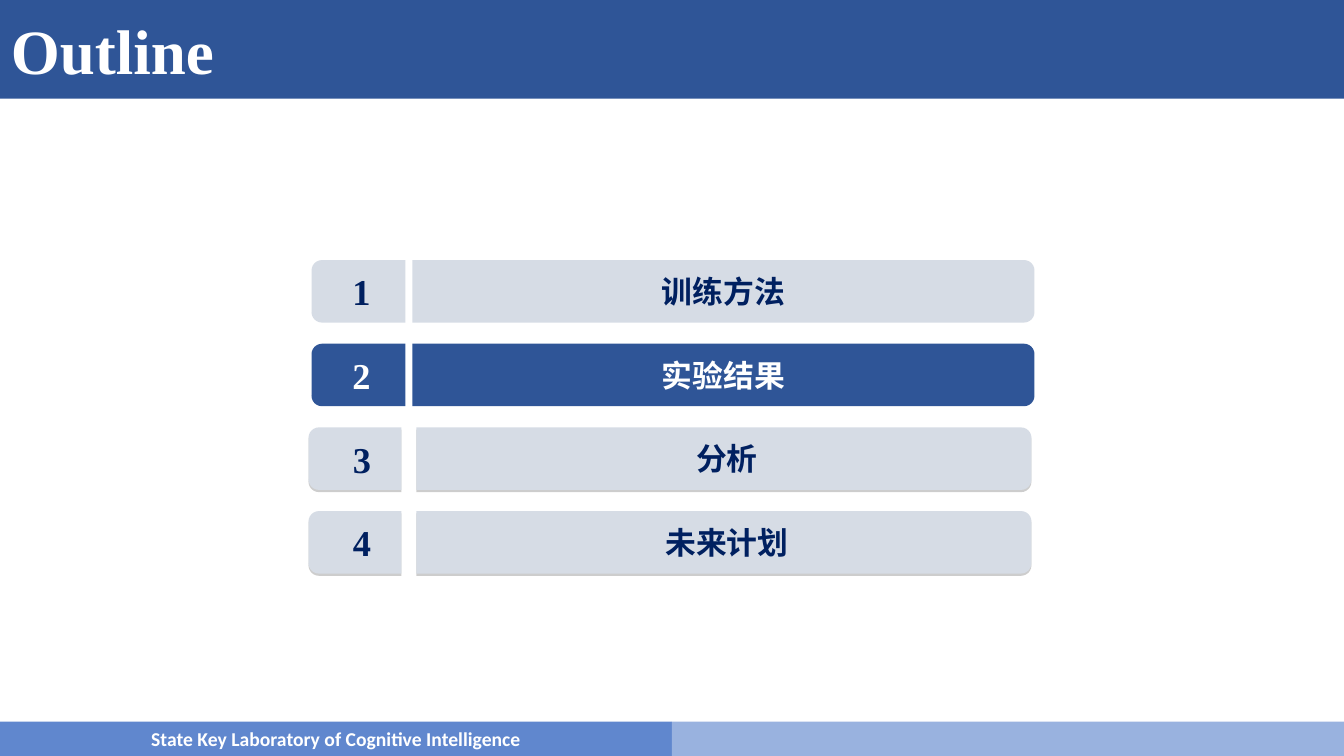
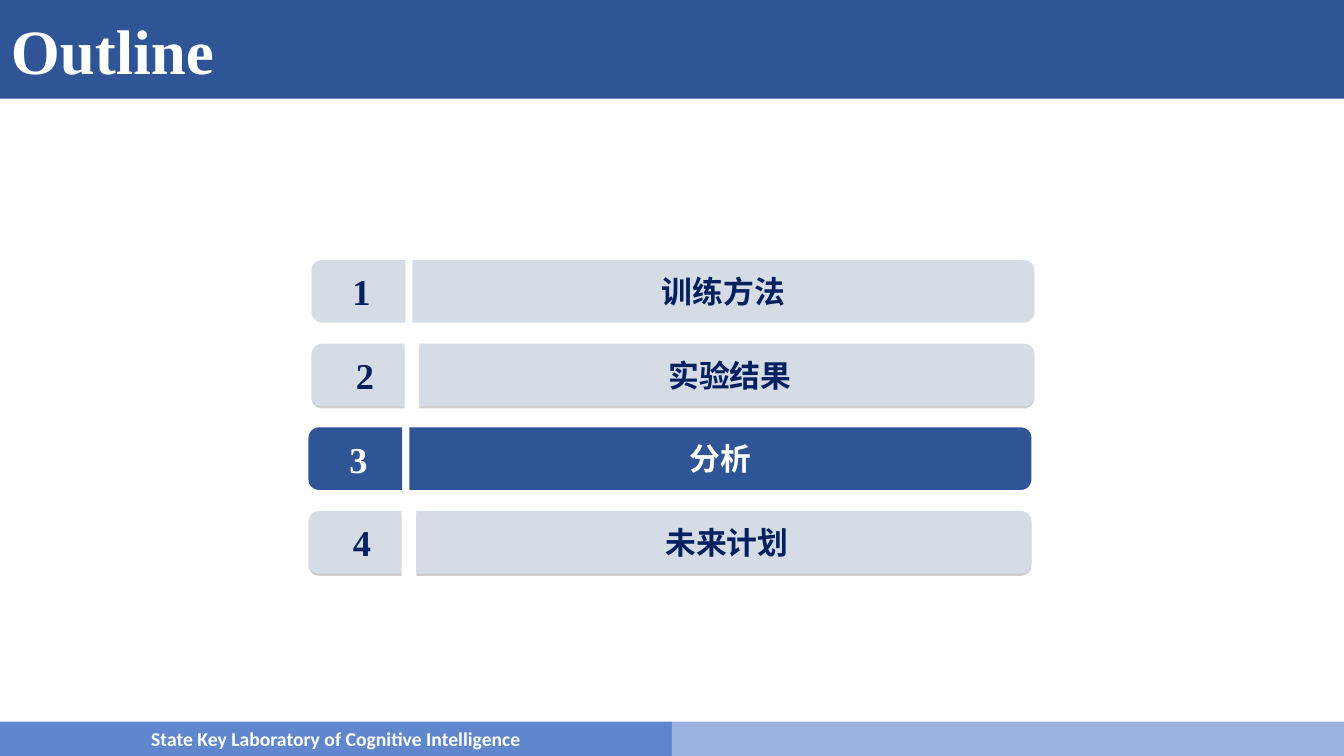
from dataclasses import dataclass

from lxml.etree import SubElement
from pptx import Presentation
from pptx.dml.color import RGBColor
from pptx.enum.shapes import MSO_SHAPE
from pptx.enum.text import MSO_ANCHOR, PP_ALIGN
from pptx.oxml.ns import qn
from pptx.shapes.autoshape import Shape
from pptx.slide import Slide
from pptx.util import Inches, Pt

NAVY = RGBColor(0x00, 0x20, 0x60)
BLUE = RGBColor(0x2F, 0x55, 0x97)
MID_BLUE = RGBColor(0x60, 0x87, 0xCE)
PALE_BLUE = RGBColor(0x99, 0xB2, 0xDF)
GREY = RGBColor(0xD6, 0xDC, 0xE5)
WHITE = RGBColor(0xFF, 0xFF, 0xFF)

SERIF = "Times New Roman"
SANS = "Calibri"

SLIDE_WIDTH, SLIDE_HEIGHT = 13.33, 7.5
HEADER_HEIGHT = 0.98
FOOTER_HEIGHT = 0.34

FIRST_ROW_TOP = 2.58
ROW_PITCH = 0.83
ROW_HEIGHT = 0.62


@dataclass(frozen=True)
class Box:
    left: float
    top: float
    width: float
    height: float

    def lengths(self) -> tuple[int, ...]:
        return tuple(Inches(n) for n in (self.left, self.top, self.width, self.height))

    def shifted(self, distance: float) -> "Box":
        return Box(self.left + distance, self.top, self.width, self.height)

    def turned(self) -> "Box":
        """The box that covers this one after a quarter turn about its centre."""
        offset = (self.width - self.height) / 2
        return Box(self.left + offset, self.top - offset, self.height, self.width)


@dataclass(frozen=True)
class Section:
    label: str
    left: float


@dataclass(frozen=True)
class RowStyle:
    fill: RGBColor
    text: RGBColor
    tab_width: float
    gap: float
    bar_width: float
    number_shift: float
    label_shift: float
    raised: bool


FLAT = RowStyle(GREY, NAVY, 0.93, 0.07, 6.17, 0.03, 0, False)
ACTIVE = RowStyle(BLUE, WHITE, 0.93, 0.07, 6.17, 0.03, 0, False)
RAISED = RowStyle(GREY, NAVY, 0.92, 0.15, 6.1, 0.07, 0.03, True)

SECTIONS = (
    Section("训练方法", 3.09),
    Section("实验结果", 3.09),
    Section("分析", 3.06),
    Section("未来计划", 3.06),
)
OUTLINES = (
    (FLAT, ACTIVE, RAISED, RAISED),
    (FLAT, RAISED, ACTIVE, RAISED),
)


def write_text(
    shape: Shape,
    text: str,
    *,
    size: float,
    color: RGBColor,
    font: str = SERIF,
    align: PP_ALIGN = PP_ALIGN.CENTER,
    anchor: MSO_ANCHOR = MSO_ANCHOR.MIDDLE,
    line_spacing: float = 1.0,
) -> None:
    frame = shape.text_frame
    frame.word_wrap = True
    frame.vertical_anchor = anchor
    paragraph = frame.paragraphs[0]
    paragraph.alignment = align
    paragraph.line_spacing = line_spacing
    run = paragraph.add_run()
    run.text = text
    run.font.name = font
    run.font.size = Pt(size)
    run.font.bold = True
    run.font.color.rgb = color


def add_text(slide: Slide, box: Box, text: str, **text_format) -> None:
    write_text(slide.shapes.add_textbox(*box.lengths()), text, **text_format)


def add_filled(
    slide: Slide, box: Box, fill: RGBColor, kind: MSO_SHAPE = MSO_SHAPE.RECTANGLE
) -> Shape:
    shape = slide.shapes.add_shape(kind, *box.lengths())
    shape.shadow.inherit = False
    shape.fill.solid()
    shape.fill.fore_color.rgb = fill
    shape.line.fill.background()
    return shape


def add_drop_shadow(shape: Shape) -> None:
    effects = shape._element.spPr.find(qn("a:effectLst"))
    shadow = SubElement(
        effects, qn("a:outerShdw"), blurRad="0", dist=str(Pt(1.6)),
        dir="5400000", rotWithShape="0",
    )
    color = SubElement(shadow, qn("a:srgbClr"), val="808080")
    SubElement(color, qn("a:alpha"), val="38000")


def add_half_rounded(slide: Slide, box: Box, style: RowStyle, rotation: int) -> None:
    """Draw a box rounded on its left (rotation 270) or right (rotation 90)."""
    shape = add_filled(
        slide, box.turned(), style.fill, MSO_SHAPE.ROUND_2_SAME_RECTANGLE
    )
    shape.rotation = rotation
    if style.raised:
        add_drop_shadow(shape)


def add_section_row(slide: Slide, row: int, section: Section, style: RowStyle) -> None:
    top = FIRST_ROW_TOP + row * ROW_PITCH
    tab = Box(section.left, top, style.tab_width, ROW_HEIGHT)
    bar = Box(tab.left + tab.width + style.gap, top, style.bar_width, ROW_HEIGHT)
    add_half_rounded(slide, tab, style, 270)
    add_half_rounded(slide, bar, style, 90)
    add_text(slide, tab.shifted(style.number_shift), str(row + 1), size=26, color=style.text)
    add_text(slide, bar.shifted(style.label_shift), section.label, size=22, color=style.text)


def add_frame(slide: Slide, title: str) -> None:
    """Draw the header band with its title and the two-part footer."""
    add_filled(slide, Box(0, 0, SLIDE_WIDTH, HEADER_HEIGHT), BLUE)
    add_text(
        slide, Box(0.01, 0.13, 10, 0.79), title, size=45, color=WHITE,
        align=PP_ALIGN.LEFT, anchor=MSO_ANCHOR.BOTTOM, line_spacing=0.9,
    )
    half = Box(0, SLIDE_HEIGHT - FOOTER_HEIGHT, SLIDE_WIDTH / 2, FOOTER_HEIGHT)
    laboratory = add_filled(slide, half, MID_BLUE)
    write_text(
        laboratory, "State Key Laboratory of Cognitive Intelligence",
        size=14, color=WHITE, font=SANS,
    )
    add_filled(slide, half.shifted(half.width), PALE_BLUE)


def main() -> None:
    presentation = Presentation()
    presentation.slide_width = Inches(SLIDE_WIDTH)
    presentation.slide_height = Inches(SLIDE_HEIGHT)
    blank_layout = presentation.slide_layouts[6]
    for styles in OUTLINES:
        slide = presentation.slides.add_slide(blank_layout)
        add_frame(slide, "Outline")
        for row, (section, style) in enumerate(zip(SECTIONS, styles)):
            add_section_row(slide, row, section, style)
    presentation.save("out.pptx")


if __name__ == "__main__":
    main()
